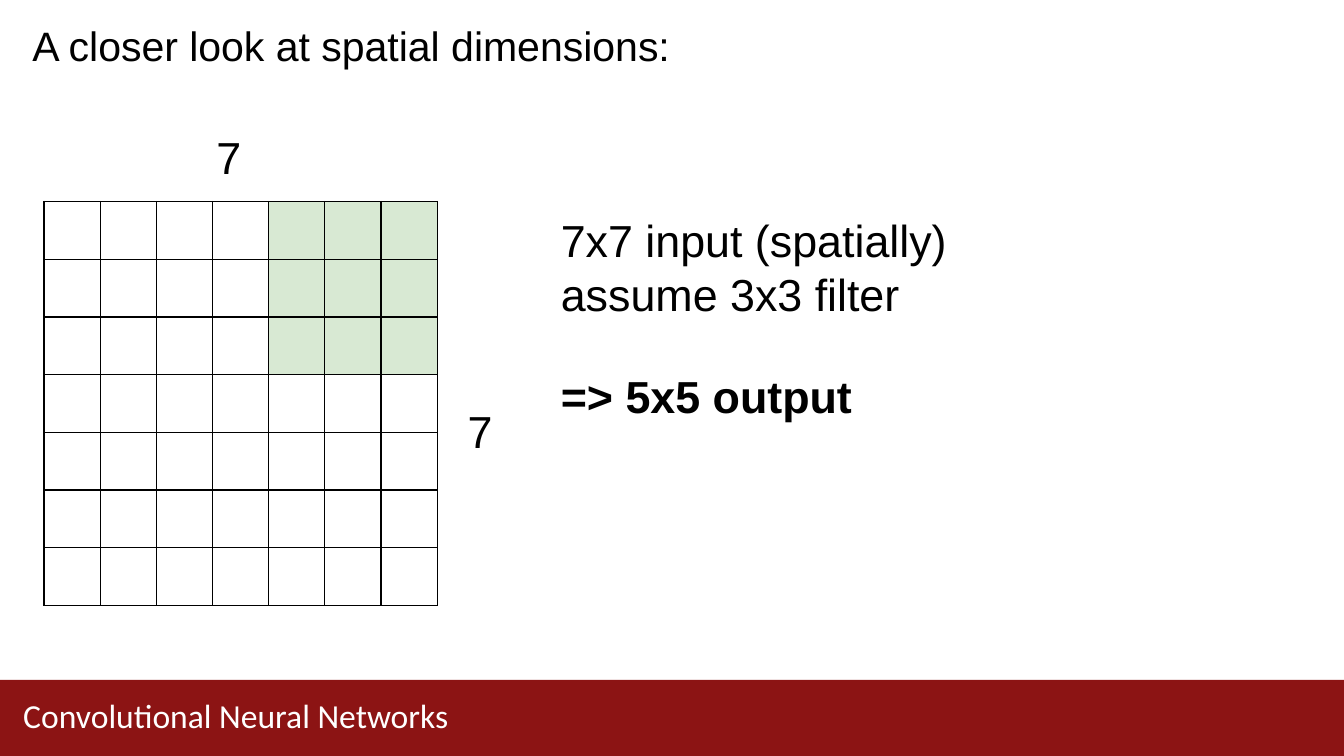
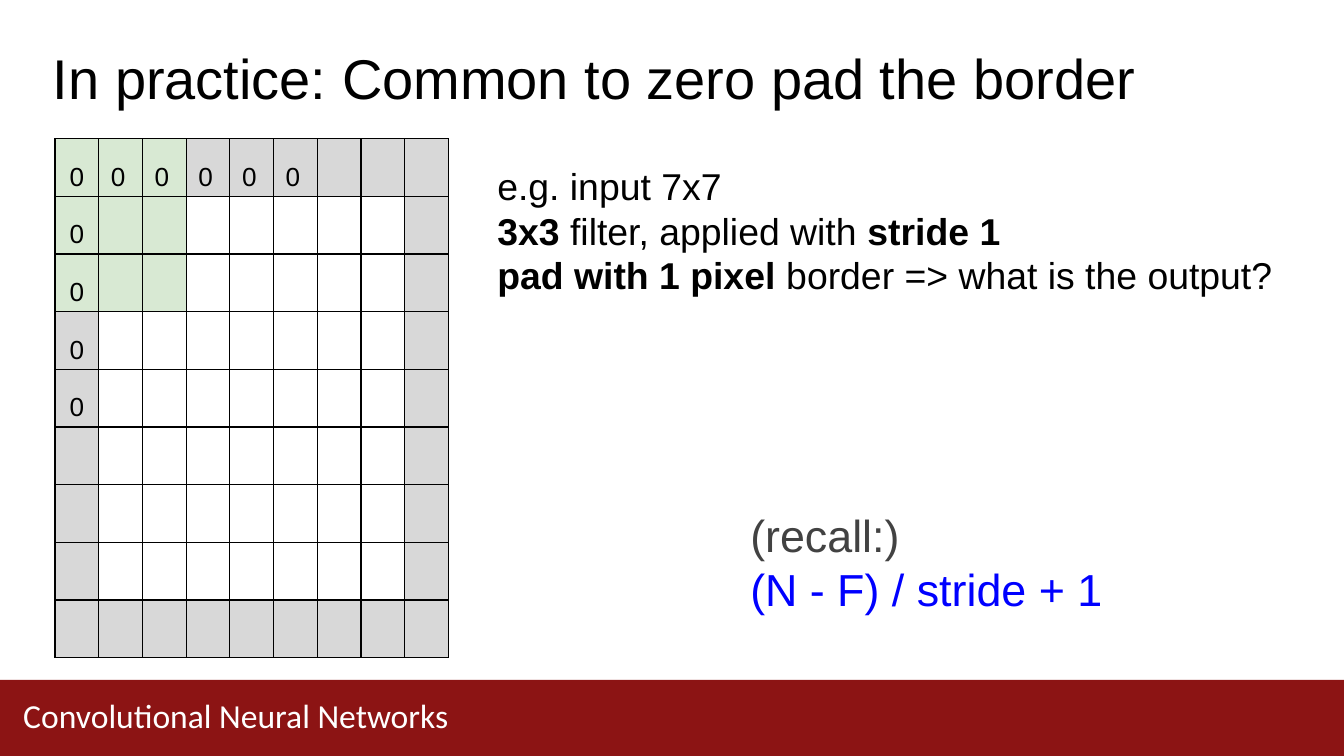
import pptx
import pptx.dml.color
import pptx.enum.shapes
import pptx.enum.text
import pptx.oxml
import pptx.oxml.ns
import pptx.util
from pptx.util import Cm

COLORS = {
    "band": "8C1414",
    "filter": "D8E9D3",
    "padding": "D8D8D8",
    "black": "000000",
    "white": "FFFFFF",
    "gray": "424242",
    "blue": "0000FF",
}
SLIDE_WIDTH, SLIDE_HEIGHT = 25.4, 14.29
BAND_TOP = 12.85
GRID_WIDTH, ROW_HEIGHT = 7.44, 1.09
FOOTER = "Convolutional Neural Networks"

SLIDES = [
    {
        "title": {"text": "A closer look at spatial dimensions:",
                  "box": (0.58, 0.33, 12.3, 1), "size": 22},
        "grid": {"position": (0.83, 3.81), "count": 7, "filter_column": 4,
                 "padded": False, "zeros_across": 0, "zeros_down": 0},
        "texts": [
            {"paragraphs": ["7x7 input (spatially) assume 3x3 filter"],
             "box": (10.57, 3.89, 7.37, 2.08), "line": 28.5, "top": 0.15},
            {"paragraphs": [[("=> 5x5 output", {"bold": True})]],
             "box": (10.57, 6.91, 5.7, 1.09)},
            {"paragraphs": ["7"], "box": (4.06, 2.39, 0.55, 1.09)},
            {"paragraphs": ["7"], "box": (8.81, 7.57, 0.55, 1.09)},
        ],
    },
    {
        "title": {"text": "In practice: Common to zero pad the border",
                  "box": (0.64, -0.13, 24.15, 2.69), "size": 30,
                  "left": 0.36, "top": 0.95},
        "grid": {"position": (1.04, 2.62), "count": 9, "filter_column": 0,
                 "padded": True, "zeros_across": 6, "zeros_down": 5},
        "texts": [
            {"paragraphs": [
                "e.g. input 7x7",
                [("3x3 ", {"bold": True}), ("filter, applied with ", {}),
                 ("stride 1", {"bold": True})],
                [("pad with 1 pixel ", {"bold": True}),
                 ("border => what is the output?", {})],
            ], "box": (9.37, 3.02, 14.8, 2.62), "size": 20},
            {"paragraphs": [
                [("(recall:)", {"color": "gray"})],
                [("(N - F) / stride + 1", {"color": "blue"})],
            ], "box": (14.15, 9.55, 6.8, 2.08), "line": 28.6},
        ],
    },
]


def rgb(name):
    return pptx.dml.color.RGBColor.from_string(COLORS[name])


def write(frame, paragraphs, size=24, font="Arial", color="black", line=None,
          left=0.03, top=0.06, align=pptx.enum.text.PP_ALIGN.LEFT):
    frame.margin_left, frame.margin_top = Cm(left), Cm(top)
    frame.margin_right = frame.margin_bottom = 0
    frame.word_wrap = True
    frame.auto_size = pptx.enum.text.MSO_AUTO_SIZE.NONE
    frame.vertical_anchor = pptx.enum.text.MSO_ANCHOR.TOP
    for index, runs in enumerate(paragraphs):
        paragraph = frame.add_paragraph() if index else frame.paragraphs[0]
        paragraph.alignment = align
        if line:
            paragraph.line_spacing = pptx.util.Pt(line)
        for text, style in [(runs, {})] if isinstance(runs, str) else runs:
            run = paragraph.add_run()
            run.text = text
            run.font.name = font
            run.font.size = pptx.util.Pt(size)
            run.font.bold = style.get("bold", False)
            run.font.color.rgb = rgb(style.get("color", color))


def add_text(slide, box, paragraphs, **style):
    shape = slide.shapes.add_textbox(*map(Cm, box))
    write(shape.text_frame, paragraphs, **style)


def add_title(slide, text, box, **style):
    title = slide.shapes.title
    title.left, title.top, title.width, title.height = map(Cm, box)
    write(title.text_frame, [text], **style)


def add_band(slide):
    band = slide.shapes.add_shape(
        pptx.enum.shapes.MSO_SHAPE.RECTANGLE, 0, Cm(BAND_TOP),
        Cm(SLIDE_WIDTH), Cm(SLIDE_HEIGHT - BAND_TOP))
    band.shadow.inherit = False
    band.fill.solid()
    band.fill.fore_color.rgb = rgb("band")
    band.line.fill.background()


def add_borders(cell):
    properties = cell._tc.get_or_add_tcPr()
    for index, side in enumerate("LRTB"):
        border = pptx.oxml.parse_xml(
            f'<a:ln{side} {pptx.oxml.ns.nsdecls("a")} w="9525"><a:solidFill>'
            f'<a:srgbClr val="{COLORS["black"]}"/></a:solidFill></a:ln{side}>')
        properties.insert(index, border)


def add_grid(slide, position, count, filter_column, padded,
             zeros_across, zeros_down):
    left, top = position
    table = slide.shapes.add_table(
        count, count, Cm(left), Cm(top),
        Cm(GRID_WIDTH), Cm(ROW_HEIGHT * count)).table
    table.first_row = table.horz_banding = False
    for column in table.columns:
        column.width = Cm(GRID_WIDTH / count)
    edges = (0, count - 1)
    for row in range(count):
        table.rows[row].height = Cm(ROW_HEIGHT)
        for column in range(count):
            cell = table.cell(row, column)
            cell.margin_left = cell.margin_right = 0
            cell.margin_top = cell.margin_bottom = 0
            in_filter = row < 3 and filter_column <= column < filter_column + 3
            in_padding = padded and (row in edges or column in edges)
            if in_filter or in_padding:
                cell.fill.solid()
                cell.fill.fore_color.rgb = rgb("filter" if in_filter else "padding")
            else:
                cell.fill.background()
            add_borders(cell)
            if (row == 0 and column < zeros_across
                    or column == 0 and row < zeros_down):
                cell.margin_top = Cm(0.45)
                cell.margin_left = Cm(0.23 if column else 0)
                write_zero(cell, centered=column == 0)


def write_zero(cell, centered):
    paragraph = cell.text_frame.paragraphs[0]
    alignments = pptx.enum.text.PP_ALIGN
    paragraph.alignment = alignments.CENTER if centered else alignments.LEFT
    run = paragraph.add_run()
    run.text = "0"
    run.font.name = "Arial"
    run.font.size = pptx.util.Pt(14)
    run.font.color.rgb = rgb("black")


def main():
    presentation = pptx.Presentation()
    presentation.slide_width = Cm(SLIDE_WIDTH)
    presentation.slide_height = Cm(SLIDE_HEIGHT)
    for content in SLIDES:
        slide = presentation.slides.add_slide(presentation.slide_layouts[5])
        add_band(slide)
        add_title(slide, **content["title"])
        add_grid(slide, **content["grid"])
        for text in content["texts"]:
            add_text(slide, **text)
        add_text(slide, (0.41, 13.16, 13.06, 0.74), [FOOTER], size=18,
                 font="Calibri", color="white", line=20.9, top=0)
    presentation.save("out.pptx")


if __name__ == "__main__":
    main()
